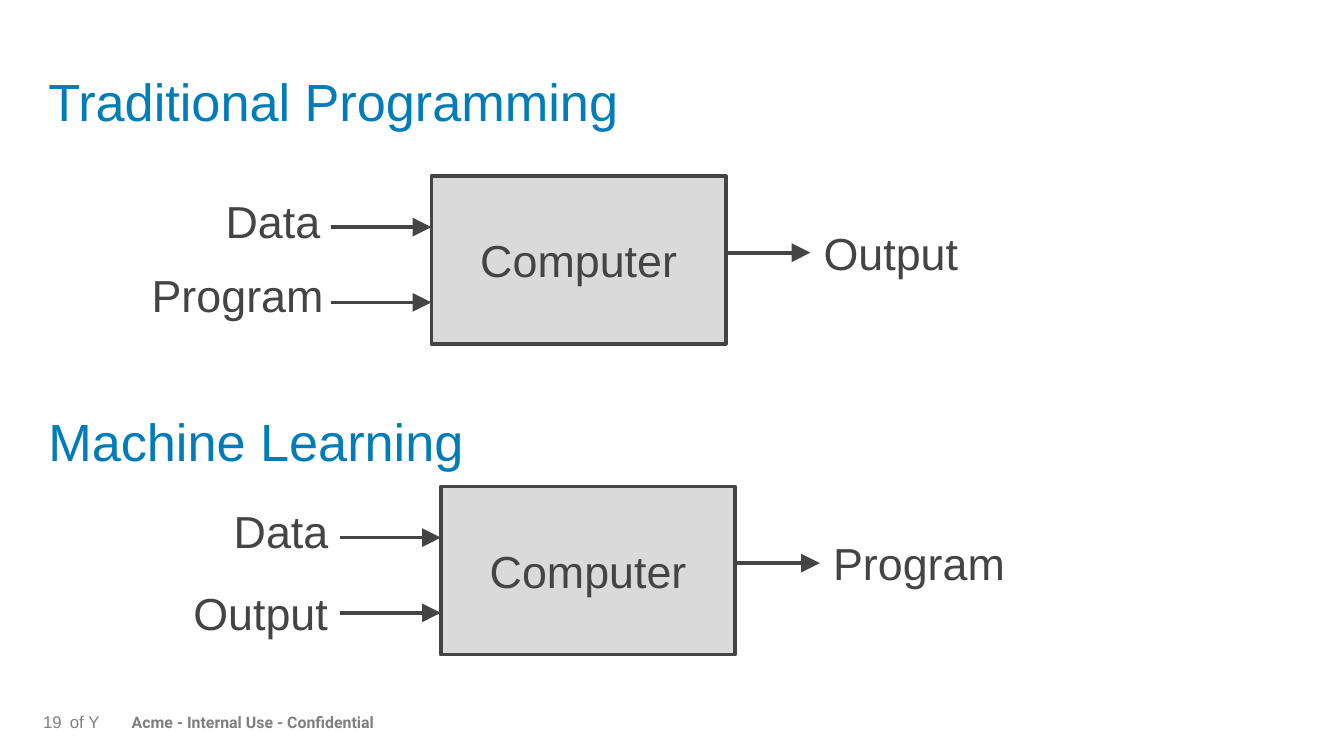
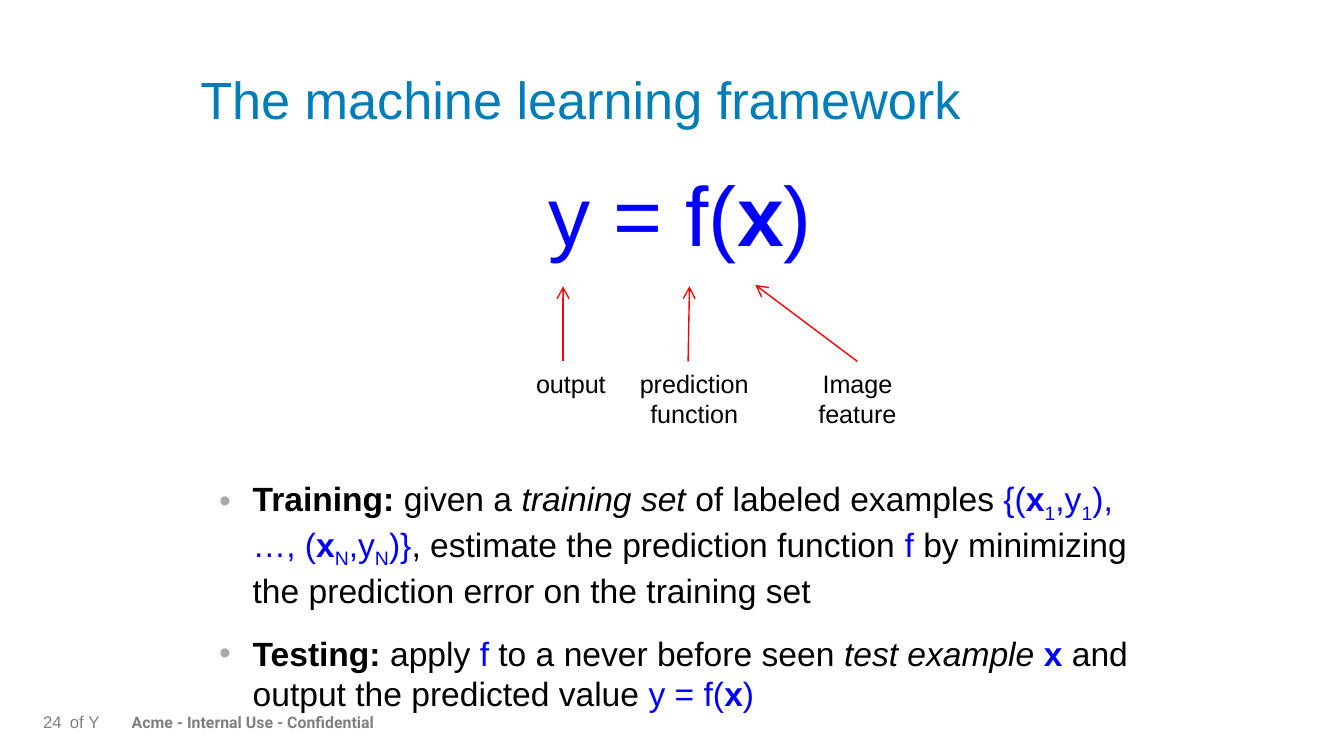
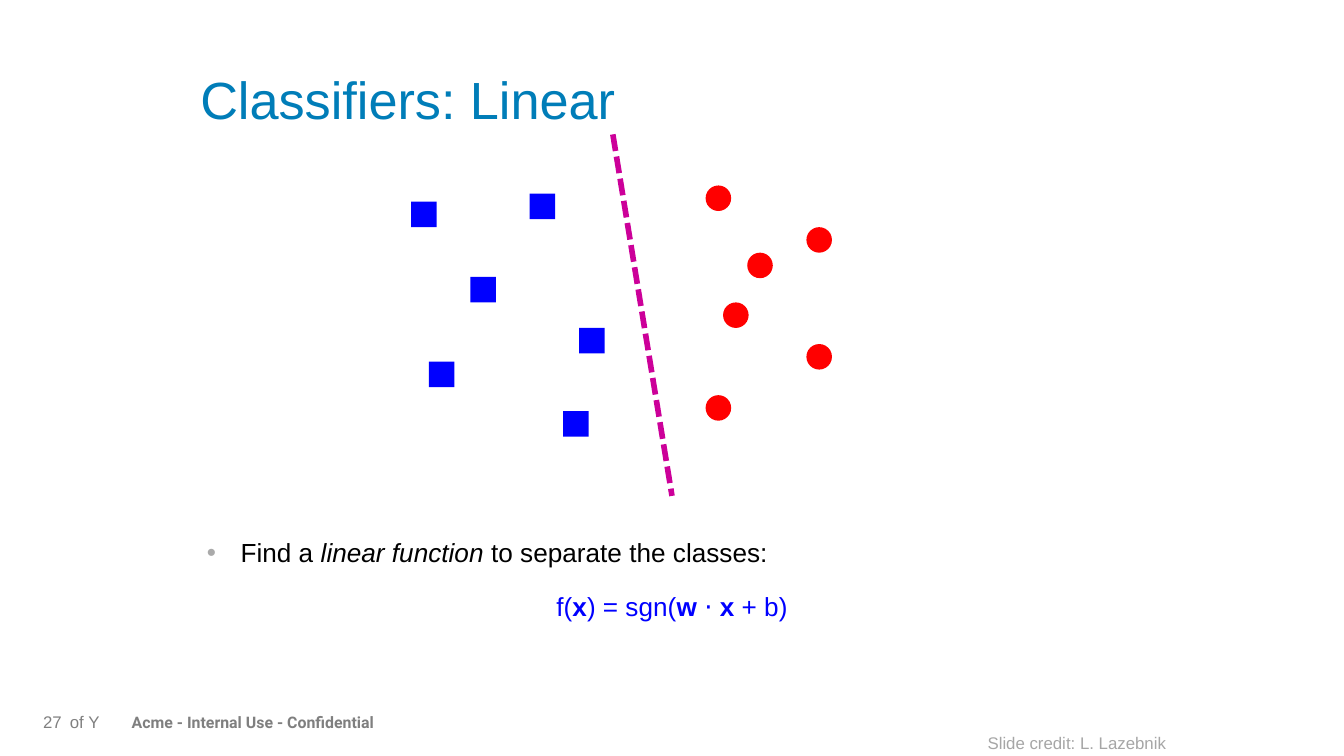
import pptx
import pptx.util
import pptx.dml.color
import pptx.enum.dml
import pptx.enum.shapes
import pptx.enum.text
import pptx.oxml
import pptx.oxml.ns

Inches = pptx.util.Inches
Pt = pptx.util.Pt
ALIGN = pptx.enum.text.PP_ALIGN
ANCHOR = pptx.enum.text.MSO_ANCHOR
SHAPE = pptx.enum.shapes.MSO_SHAPE

BLUE = "0000FF"
RED = "FF0000"
BLACK = "000000"
DARK = "444444"

FORMULA = {"color": BLUE}
VECTOR = {"color": BLUE, "bold": True}
SUBSCRIPT = {"color": BLUE, "baseline": -25000}
BOLD = {"bold": True}
ITALIC = {"italic": True}
BLOCK_HEAD = {"type": "triangle", "w": "lg", "len": "lg"}
OPEN_HEAD = {"type": "arrow"}


def rgb(value):
    return pptx.dml.color.RGBColor.from_string(value)


def add_xml(parent, tag, **attributes):
    child = pptx.oxml.parse_xml(f"<a:{tag} {pptx.oxml.ns.nsdecls('a')}/>")
    for name, value in attributes.items():
        child.set(name, str(value))
    parent.append(child)
    return child


class Page:
    font = "Arial"
    accent = "007DB8"
    grey = "808080"
    bullet = "AAAAAA"

    def __init__(self, deck, number, title=None):
        self.slide = deck.slides.add_slide(deck.slide_layouts[1])
        self.shapes = self.slide.shapes
        heading, self.body_box = self.slide.placeholders
        if title:
            self.place(heading, 1.39, 0.5, 8.5, 0.94)
            self.frame(heading, vertical_anchor=ANCHOR.TOP)
            self.paragraph(heading.text_frame.paragraphs[0], title, 28, self.accent,
                           line_spacing=0.9, alignment=ALIGN.LEFT)
        else:
            heading.element.getparent().remove(heading.element)
        self.footer(number)

    def place(self, box, left, top, width, height):
        sizes = {"left": left, "top": top, "width": width, "height": height}
        for name, value in sizes.items():
            setattr(box, name, Inches(value))

    def frame(self, box, **settings):
        values = {"word_wrap": True, "auto_size": pptx.enum.text.MSO_AUTO_SIZE.NONE}
        for name, value in (values | settings).items():
            setattr(box.text_frame, name, value)

    def paragraph(self, para, content, size, color, font=None, **settings):
        for name, value in settings.items():
            setattr(para, name, value)
        spans = [(content, {})] if isinstance(content, str) else content
        for text, style in spans:
            span = para.add_run()
            span.text = text
            values = {"name": font or self.font, "size": Pt(size), **style}
            span.font.color.rgb = rgb(values.pop("color", color))
            baseline = values.pop("baseline", None)
            if baseline:
                span._r.get_or_add_rPr().set("baseline", str(baseline))
            for name, value in values.items():
                setattr(span.font, name, value)

    def text(self, content, left, top, width, height, size, color, font=None,
             alignment=ALIGN.LEFT, line_spacing=1.0, **settings):
        box = self.shapes.add_textbox(*map(Inches, (left, top, width, height)))
        self.frame(box, **settings)
        self.paragraph(box.text_frame.paragraphs[0], content, size, color, font,
                       alignment=alignment, line_spacing=line_spacing)

    def footer(self, number):
        self.text([("Acme - Internal Use - Confidential", BOLD)], 0, 5.27, 10, 0.39, 8.5,
                  "7F7F7F", "Roboto", line_spacing=0.9, margin_left=Inches(0.98))
        flush = dict.fromkeys(("margin_left", "margin_top", "margin_right", "margin_bottom"), 0)
        for label, left in ((str(number), 0.32), ("of Y", 0.52)):
            self.text(label, left, 5.33, 0.29, 0.1, 9, self.grey, line_spacing=0.9,
                      vertical_anchor=ANCHOR.MIDDLE, **flush)

    def body(self, bounds, items, **settings):
        self.place(self.body_box, *bounds)
        self.frame(self.body_box, vertical_anchor=ANCHOR.TOP, **settings)
        for index, item in enumerate(items):
            frame = self.body_box.text_frame
            para = frame.add_paragraph() if index else frame.paragraphs[0]
            values = {"space_before": Pt(0), "line_spacing": 1.0, "alignment": ALIGN.LEFT, **item}
            bulleted = values.pop("bulleted", False)
            self.paragraph(para, **values)
            self.mark(para, bulleted)

    def mark(self, para, bulleted):
        properties = para._p.get_or_add_pPr()
        indent = Inches(0.25) if bulleted else 0
        properties.set("marL", str(indent))
        properties.set("indent", str(-indent))
        if bulleted:
            add_xml(add_xml(properties, "buClr"), "srgbClr", val=self.bullet)
            add_xml(properties, "buChar", char="•")
        else:
            add_xml(properties, "buNone")

    def shape(self, kind, left, top, width, height, fill, line=None):
        shape = self.shapes.add_shape(kind, *map(Inches, (left, top, width, height)))
        shape.shadow.inherit = False
        shape.fill.solid()
        shape.fill.fore_color.rgb = rgb(fill)
        if line:
            shape.line.color.rgb = rgb(line)
            shape.line.width = Pt(2)
        else:
            shape.line.fill.background()
        return shape

    def line(self, start, end, color, width, head=None, dash=None):
        line = self.shapes.add_connector(pptx.enum.shapes.MSO_CONNECTOR.STRAIGHT,
                                         *map(Inches, (*start, *end)))
        line.line.color.rgb = rgb(color)
        line.line.width = Pt(width)
        if dash:
            line.line.dash_style = dash
        if head:
            add_xml(line.line._get_or_add_ln(), "tailEnd", **head)
        add_xml(line._element.spPr, "effectLst")

    def computer(self, left, top, inputs, output):
        width = 2.19
        box = self.shape(SHAPE.RECTANGLE, left, top, width, 1.25, "DADADA", DARK)
        self.frame(box, word_wrap=False, vertical_anchor=ANCHOR.MIDDLE)
        self.paragraph(box.text_frame.paragraphs[0], "Computer", 24, DARK,
                       alignment=ALIGN.CENTER)
        right = left + width
        arrows = [(left - 0.75, left, 0.38), (left - 0.75, left, 0.94),
                  (right, right + 0.63, 0.57)]
        for start, end, drop in arrows:
            self.line((start, top + drop), (end, top + drop), DARK, 2, BLOCK_HEAD)
        label_widths = {"Data": 0.91, "Program": 1.49, "Output": 1.21}
        for label, offset, drop in (*inputs, (output, width + 0.63, 0.32)):
            self.text(label, left + offset, top + drop, label_widths[label], 0.5, 24, DARK,
                      word_wrap=False)


def programming_page(deck):
    page = Page(deck, 19)
    heading = {"size": 28, "color": page.accent, "line_spacing": 0.9}
    page.body((0.36, 0.52, 6.81, 4.25), [
        {"content": "Traditional Programming", **heading},
        {"content": "Machine Learning", **heading, "space_before": Pt(151.5)},
    ], margin_left=0, margin_right=0)
    page.computer(3.21, 1.31, [("Data", -1.63, 0.08), ("Program", -2.18, 0.63)], "Output")
    page.computer(3.28, 3.62, [("Data", -1.64, 0.08), ("Output", -1.94, 0.69)], "Program")


def framework_page(deck):
    page = Page(deck, 24, "The machine learning framework")
    equation = [("y = f(", FORMULA), ("x", VECTOR), (")", FORMULA)]
    training = [
        ("Training: ", BOLD), ("given a ", {}), ("training set ", ITALIC),
        ("of labeled examples ", {}), ("{(", FORMULA), ("x", VECTOR), ("1", SUBSCRIPT),
        (",y", FORMULA), ("1", SUBSCRIPT), ("), …, (", FORMULA), ("x", VECTOR),
        ("N", SUBSCRIPT), (",y", FORMULA), ("N", SUBSCRIPT), (")}", FORMULA),
        (", estimate the prediction function ", {}), ("f ", FORMULA),
        ("by minimizing the prediction error on the training set", {}),
    ]
    testing = [
        ("Testing:", BOLD), (" apply ", {}), ("f", FORMULA), (" to a never before seen ", {}),
        ("test example ", ITALIC), ("x", VECTOR), (" and output the predicted value ", {}),
        *equation,
    ]
    item = {"size": 18, "color": BLACK, "bulleted": True}
    page.body((1.53, 1.16, 7.06, 3.71), [
        {"content": equation, "size": 45, "color": BLUE, "alignment": ALIGN.CENTER},
        {"content": training, **item, "space_before": Pt(115)},
        {"content": testing, **item, "space_before": Pt(12)},
    ])
    for start, end in (((4.19, 2.69), (4.19, 2.13)), ((5.12, 2.69), (5.13, 2.13)),
                       ((6.38, 2.69), (5.62, 2.12))):
        page.line(start, end, RED, 0.75, OPEN_HEAD)
    page.text("output", 3.89, 2.69, 0.73, 0.33, 13.5, BLACK, word_wrap=False)
    for label, left, width in (("prediction function", 4.39, 1.55), ("Image feature", 5.76, 1.24)):
        page.text(label, left, 2.69, width, 0.56, 13.5, BLACK, alignment=ALIGN.CENTER)


def classifier_page(deck):
    page = Page(deck, 27, "Classifiers: Linear")
    function = [("f(", {}), ("x", BOLD), (") = sgn(", {}), ("w ", BOLD), ("⋅ ", {}),
                ("x ", BOLD), ("+ b)", {})]
    page.body((1.44, 3.94, 7.12, 1.09), [
        {"content": [("Find a ", {}), ("linear function ", ITALIC),
                     ("to separate the classes:", {})],
         "size": 14, "color": BLACK, "bulleted": True},
        {"content": function, "size": 14, "color": BLUE, "alignment": ALIGN.CENTER,
         "space_before": Pt(12)},
    ])
    squares = [(3.06, 1.5), (3.5, 2.06), (3.94, 1.44), (3.19, 2.69), (4.31, 2.44), (4.19, 3.06)]
    circles = [(6, 1.69), (5.38, 2.25), (6, 2.56), (5.25, 1.38), (5.56, 1.88), (5.25, 2.94)]
    for kind, color, points in ((SHAPE.RECTANGLE, BLUE, squares), (SHAPE.OVAL, RED, circles)):
        for left, top in points:
            page.shape(kind, left, top, 0.19, 0.19, color)
    page.line((4.56, 1), (5, 3.69), "CC0099", 3, dash=pptx.enum.dml.MSO_LINE.SQUARE_DOT)
    page.text("Slide credit: L. Lazebnik", 7.25, 5.4, 1.54, 0.25, 9, "A6A6A6", word_wrap=False)


def main():
    deck = pptx.Presentation()
    deck.slide_width = Inches(10)
    deck.slide_height = deck.slide_width * 9 // 16
    programming_page(deck)
    framework_page(deck)
    classifier_page(deck)
    deck.save("out.pptx")


if __name__ == "__main__":
    main()
